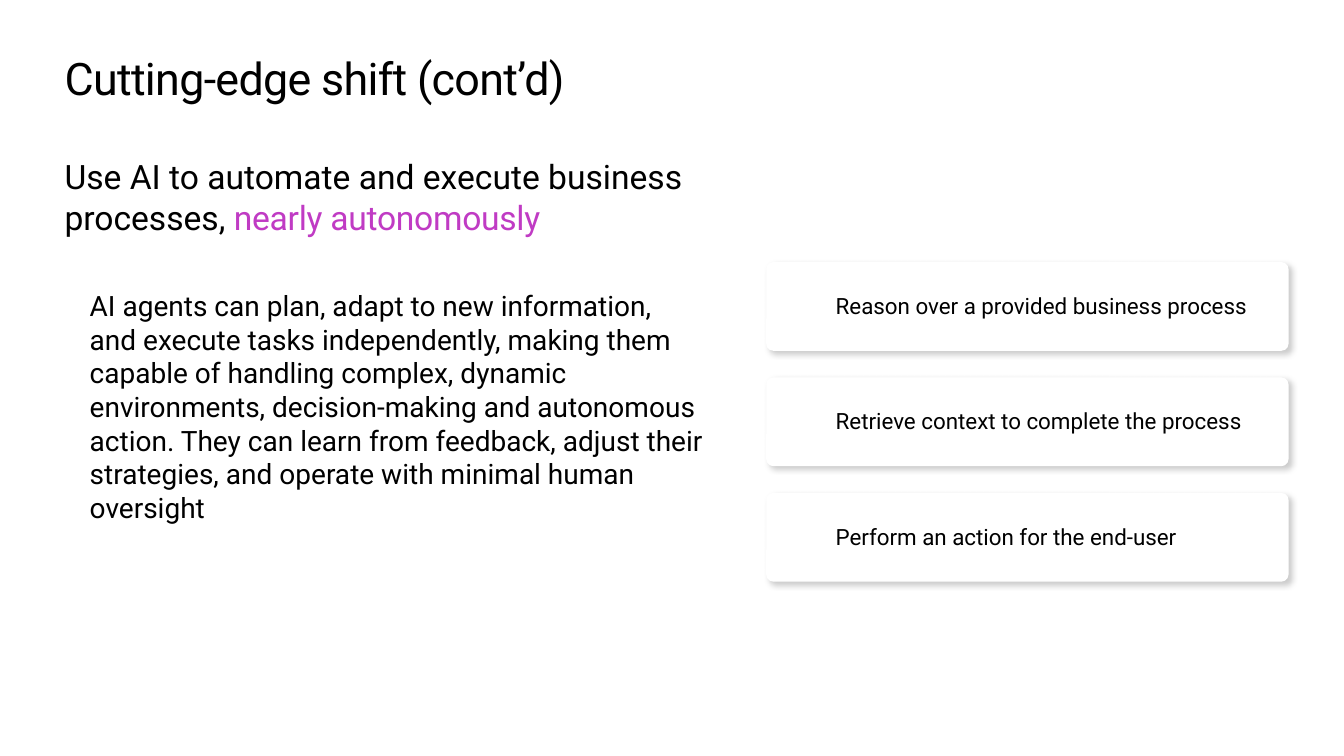
from lxml import etree
from pptx import Presentation
from pptx.dml.color import RGBColor
from pptx.enum.shapes import MSO_SHAPE as Shape
from pptx.enum.text import MSO_ANCHOR as Anchor, PP_ALIGN as Align
from pptx.oxml import parse_xml
from pptx.util import Inches, Pt

SHADOW = (
    '<a:effectLst xmlns:a="http://schemas.openxmlformats.org/drawingml/2006/main">'
    '<a:outerShdw blurRad="50800" dist="38100" dir="2700000" algn="tl" rotWithShape="0">'
    '<a:srgbClr val="000000"><a:alpha val="20000"/></a:srgbClr>'
    '</a:outerShdw></a:effectLst>'
)


def color(value):
    return RGBColor.from_string(value)


def add_span(para, text, size, ink="000000", spacing=0):
    span = para.add_run()
    span.text = text
    for name, value in {"name": "Roboto", "size": Pt(size), "bold": False}.items():
        setattr(span.font, name, value)
    span.font.color.rgb = color(ink)
    if spacing:
        span.font._element.set("spc", str(spacing))


deck = Presentation()
deck.slide_width = Inches(13.33)
deck.slide_height = Inches(7.5)
page = deck.slides.add_slide(deck.slide_layouts[5])

title = page.shapes.title
title.left, title.top, title.width, title.height = (
    Inches(value) for value in (0.64, 0.5, 12.05, 0.54)
)
body = page.shapes.add_textbox(Inches(0.64), Inches(1.55), Inches(6.34), Inches(3.53))

frame_format = {
    "margin_left": 0,
    "margin_top": 0,
    "margin_right": 0,
    "margin_bottom": 0,
    "word_wrap": True,
    "vertical_anchor": Anchor.TOP,
}
for box in (title, body):
    for name, value in frame_format.items():
        setattr(box.text_frame, name, value)

heading = title.text_frame.paragraphs[0]
heading.alignment = Align.LEFT
add_span(heading, "Cutting-edge shift (cont’d)", 32, spacing=-50)

lead = body.text_frame.paragraphs[0]
add_span(lead, "Use AI to automate and execute business processes, ", 24)
add_span(lead, "nearly autonomously", 24, "C03BC4", -20)

detail = body.text_frame.add_paragraph()
detail.level = 1
detail.space_before = Pt(37)
detail_format = detail._p.get_or_add_pPr()
detail_format.set("marL", str(Inches(0.25)))
detail_format.set("indent", "0")
add_span(
    detail,
    "AI agents can plan, adapt to new information, and execute tasks independently, "
    "making them capable of handling complex, dynamic environments, decision-making "
    "and autonomous action. They can learn from feedback, adjust their strategies, "
    "and operate with minimal human oversight",
    20,
)

steps = [
    "Reason over a provided business process",
    "Retrieve context to complete the process",
    "Perform an action for the end-user",
]
for index, step in enumerate(steps):
    top = 2.6 + index * 1.145
    card = page.shapes.add_shape(
        Shape.ROUNDED_RECTANGLE, Inches(7.6), Inches(top), Inches(5.18), Inches(0.88)
    )
    card.adjustments[0] = 0.08
    card.fill.solid()
    card.fill.fore_color.rgb = color("FFFFFF")
    card.line.fill.background()
    card._element.spPr.append(parse_xml(SHADOW))

    label = page.shapes.add_textbox(
        Inches(8.19), Inches(top + 0.25), Inches(4.34), Inches(0.37)
    )
    label.text_frame.word_wrap = True
    add_span(label.text_frame.paragraphs[0], step, 16)

deck.save("out.pptx")
